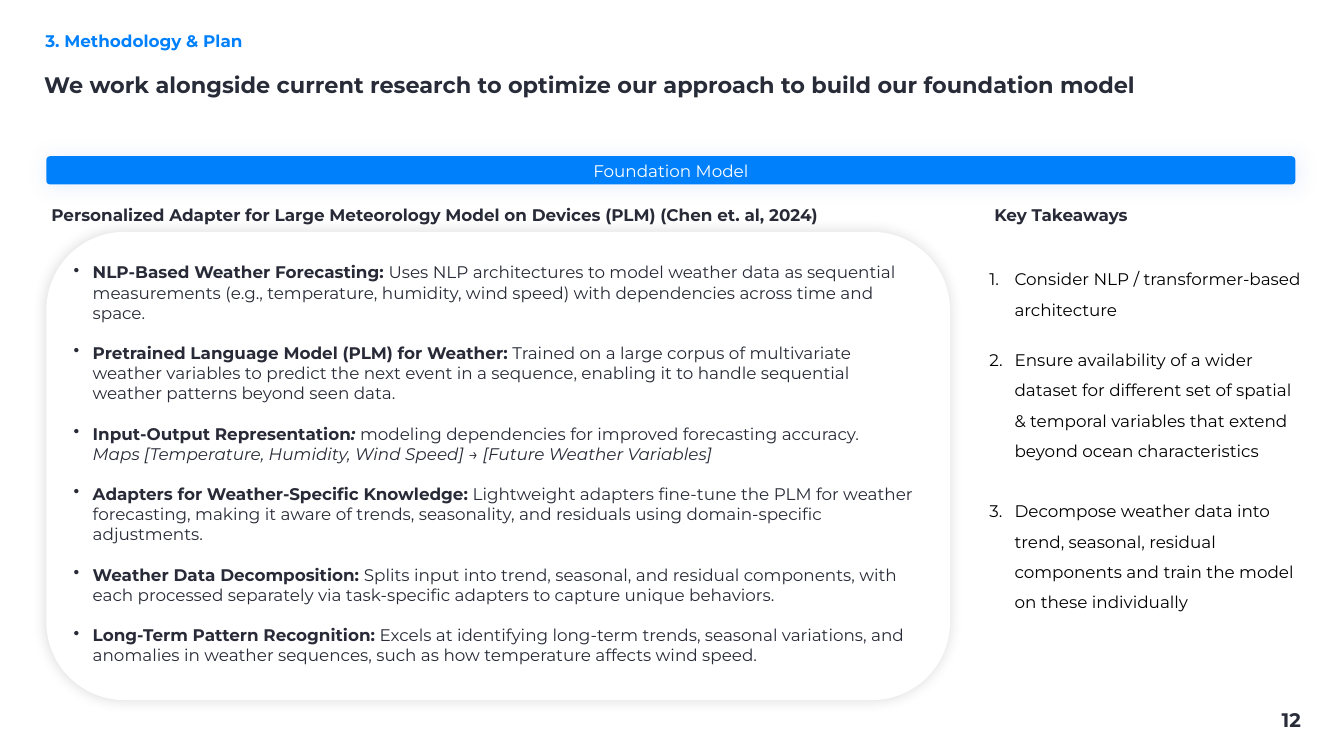
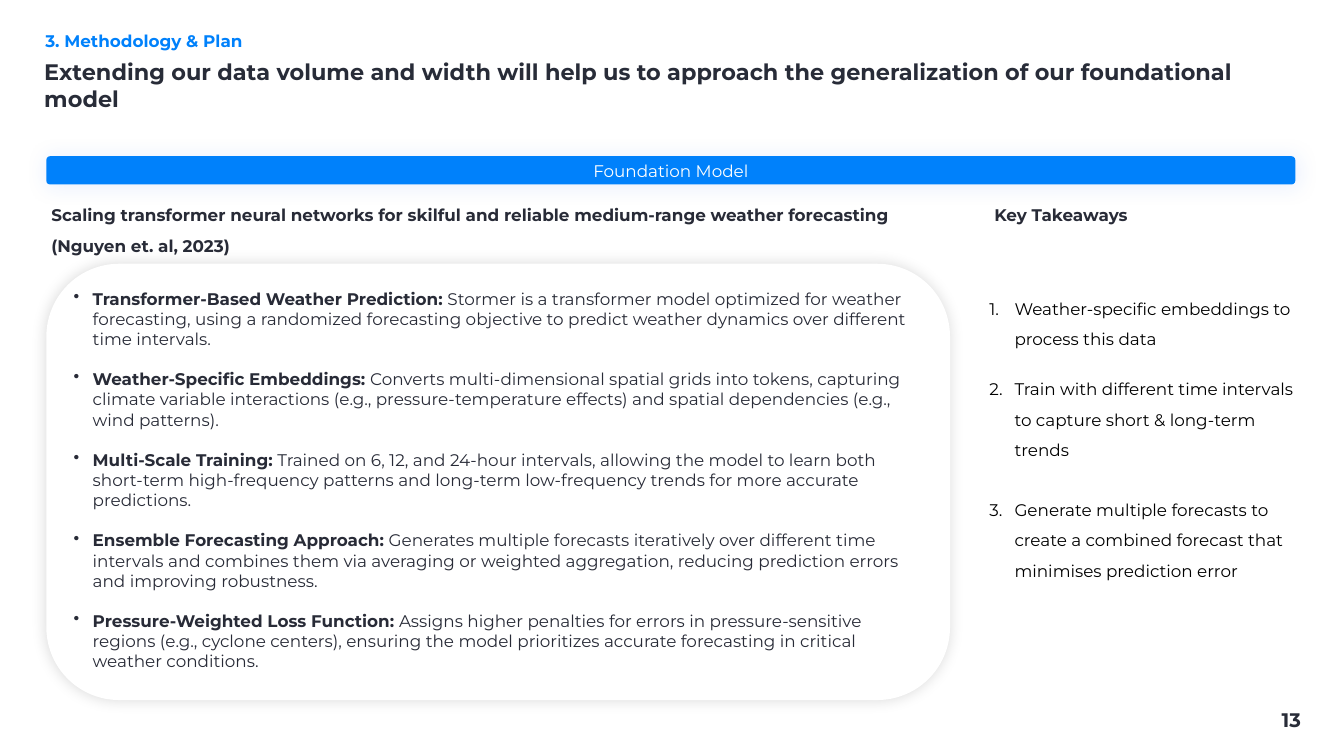
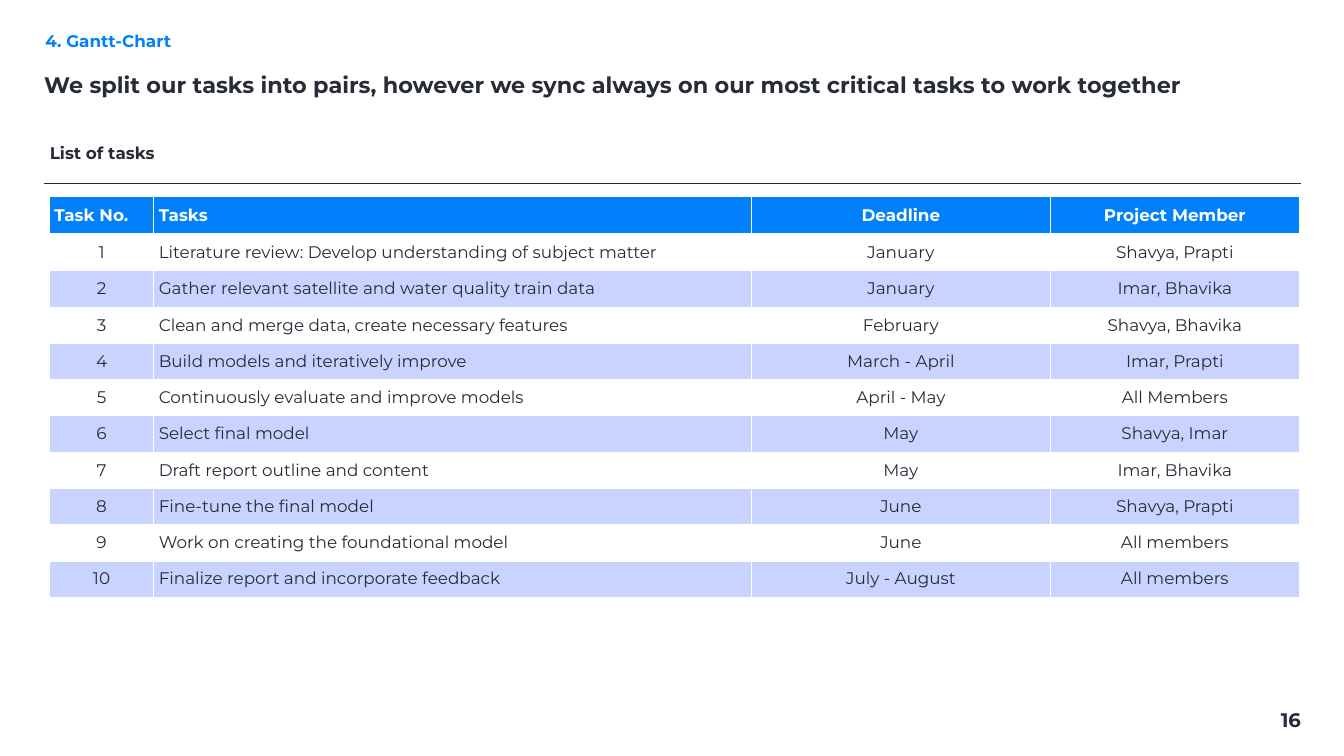
from lxml import etree
from pptx import Presentation
from pptx.dml.color import RGBColor
from pptx.enum.shapes import MSO_CONNECTOR, MSO_SHAPE
from pptx.enum.text import MSO_ANCHOR, PP_ALIGN
from pptx.oxml.ns import qn
from pptx.util import Inches, Pt

LEFT, MID, RIGHT = PP_ALIGN.LEFT, PP_ALIGN.CENTER, PP_ALIGN.RIGHT
TOP, CENTER = MSO_ANCHOR.TOP, MSO_ANCHOR.MIDDLE
ROUND, LINE = MSO_SHAPE.ROUNDED_RECTANGLE, MSO_CONNECTOR.STRAIGHT

BLUE = RGBColor(0x00, 0x81, 0xFB)
GLOW = RGBColor(0x24, 0x63, 0xEC)
PALE = RGBColor(0xC8, 0xD4, 0xFF)
INK = RGBColor(0x28, 0x2B, 0x37)
TITLE = RGBColor(0x28, 0x2C, 0x38)
RULE = RGBColor(0x27, 0x2A, 0x36)
BLACK = RGBColor(0, 0, 0)
WHITE = RGBColor(255, 255, 255)

FONT = "Montserrat"
WIDTH, HEIGHT = Inches(26.67), Inches(15)
COLS, ROWS = 80, 45  # the grid that all places are given in
BODY = 24
GAP = 28.8  # one line of body text, in points
CARD_END = 41.67


def across(n):
    return round(WIDTH * n / COLS)


def down(n):
    return round(HEIGHT * n / ROWS)


def place(box):
    x, y, w, h = box
    return across(x), down(y), across(w), down(h)


def add(parent, tag, **attrs):
    return etree.SubElement(parent, qn(tag), {k: str(v) for k, v in attrs.items()})


def colour(parent, rgb, alpha=100):
    node = add(parent, "a:srgbClr", val=rgb)
    if alpha < 100:
        add(node, "a:alpha", val=alpha * 1000)


def mark(para, tag, hang, **attrs):
    """Give a paragraph a bullet or number with a hanging indent in inches."""
    props = para._p.get_or_add_pPr()
    props.set("marL", str(Inches(hang)))
    props.set("indent", str(-Inches(hang)))
    add(props, tag, **attrs)


def point(head, body):
    return [(head + " ", "b"), (body, "")]


class Deck:
    def __init__(self):
        self.prs = Presentation()
        self.prs.slide_width, self.prs.slide_height = WIDTH, HEIGHT
        self.slide = None

    def start(self, part, title, number):
        """Open a slide with its section name, title and page number."""
        self.slide = self.prs.slides.add_slide(self.prs.slide_layouts[6])
        self.text((71.82, 41.97, 5.91, 1.71), number, 28, TITLE, align=RIGHT)
        para = self.text((2.22, 1.47, 75.21, 1.71), part, BODY, BLUE, anchor=CENTER)
        para.line_spacing = 1.2
        para._p.get_or_add_pPr().set("marL", str(Inches(0.06)))
        self.text((2.34, 3.6, 75.21, 2.88), title, 32, TITLE, anchor=CENTER)

    def style(self, para, size, color, bold=None, align=LEFT):
        para.alignment = align
        font = para.font
        font.name, font.size, font.bold = FONT, Pt(size), bold
        font.color.rgb = color

    def frame(self, box, anchor=TOP, pad=True):
        frame = self.slide.shapes.add_textbox(*place(box)).text_frame
        frame.word_wrap = True
        frame.vertical_anchor = anchor
        if not pad:
            frame.margin_left = frame.margin_right = 0
            frame.margin_top = frame.margin_bottom = 0
        return frame

    def text(self, box, words, size, color, align=LEFT, anchor=TOP):
        """Add one bold paragraph and return it."""
        para = self.frame(box, anchor).paragraphs[0]
        para.text = words
        self.style(para, size, color, True, align)
        return para

    def heading(self, x, w, words, lines=1):
        self.text((x, 11.46, w, 0.12 + 1.8 * lines), words, BODY, INK).line_spacing = 1.5

    def rounded(self, box, fill, glow, alpha, blur):
        shape = self.slide.shapes.add_shape(ROUND, *place(box))
        shape.fill.solid()
        shape.fill.fore_color.rgb = fill
        shape.line.fill.background()
        shape.shadow.inherit = False
        effects = shape._element.spPr.find(qn("a:effectLst"))
        shadow = add(effects, "a:outerShdw", blurRad=Pt(blur), dist=0, dir=0,
                     algn="ctr", rotWithShape=0)
        colour(shadow, glow, alpha)
        return shape

    def band(self, words):
        shape = self.rounded((2.76, 9.3, 74.34, 1.68), BLUE, GLOW, 9, 30)
        shape.adjustments[0] = 0.13
        shape.text_frame.vertical_anchor = CENTER
        para = shape.text_frame.paragraphs[0]
        para.text = words
        self.style(para, BODY, WHITE, align=MID)

    def card(self, top, first, points):
        """Add the card, with its bullets from row first, centred in it."""
        self.rounded((2.76, top, 53.79, CARD_END - top), WHITE, BLACK, 14, 21)
        frame = self.frame((4.38, first, 50.55, CARD_END + top - 2 * first), pad=False)
        for i, runs in enumerate(points):
            para = frame.add_paragraph() if i else frame.paragraphs[0]
            para.space_before = Pt(GAP if i else 0)
            mark(para, "a:buChar", 0.38, char="•")
            self.style(para, BODY, INK)
            for words, look in runs:
                if words == "\n":
                    para.add_line_break()
                    continue
                run = para.add_run()
                run.text = words
                run.font.bold, run.font.italic = "b" in look, "i" in look

    def steps(self, top, height, items):
        frame = self.frame((58.89, top, 18.6, height), pad=False)
        for i, (words, gap) in enumerate(zip(items, (0, GAP, 1.5 * GAP))):
            para = frame.add_paragraph() if i else frame.paragraphs[0]
            para.text = words
            para.line_spacing = 1.5
            para.space_before = Pt(gap)
            mark(para, "a:buAutoNum", 0.5, type="arabicPeriod")
            self.style(para, BODY, BLACK)

    def rule(self, x, y, end):
        line = self.slide.shapes.add_connector(
            LINE, across(x), down(y), across(end), down(y))
        line.line.color.rgb = RULE
        line.line.width = Pt(1.5)
        add(line._element.spPr, "a:effectLst")

    def cell(self, cell, words, fill, color, bold, align, base):
        props = cell._tc.get_or_add_tcPr()
        for side, width in (("L", 1), ("R", 1), ("T", 1), ("B", base)):
            edge = add(props, "a:ln" + side, w=Pt(width))
            colour(add(edge, "a:solidFill"), WHITE)
        cell.fill.solid()
        cell.fill.fore_color.rgb = fill
        cell.vertical_anchor = CENTER
        para = cell.text_frame.paragraphs[0]
        para.text = words
        self.style(para, BODY, color, bold, align)

    def table(self, x, y, widths, head, rows):
        tall, row = 2.28, 2.16
        box = (x, y, sum(widths), tall + row * len(rows))
        table = self.slide.shapes.add_table(
            len(rows) + 1, len(head), *place(box)).table
        table.horz_banding = False
        for col, width in zip(table.columns, widths):
            col.width = across(width)
        for r, line in enumerate([head, *rows]):
            table.rows[r].height = down(row if r else tall)
            for c, words in enumerate(line):
                if r:
                    look = PALE if r % 2 == 0 else WHITE, INK, False
                    align, base = LEFT if c == 1 else MID, 1
                else:
                    look = BLUE, WHITE, True
                    align, base = LEFT if c < 2 else MID, 3
                self.cell(table.cell(r, c), words, *look, align, base)


def study(deck, title, number, source, lines, card, points, steps, items):
    """Build a slide on one paper: its points in a card, takeaways beside it."""
    deck.start("3. Methodology & Plan", title, number)
    deck.band("Foundation Model")
    deck.card(*card, points)
    deck.heading(2.76, 51.54, source, lines)
    deck.heading(58.89, 18.18, "Key Takeaways")
    deck.steps(*steps, items)


def main():
    deck = Deck()
    study(
        deck,
        "We work alongside current research to optimize our approach to build our foundation model",
        "12",
        "Personalized Adapter for Large Meteorology Model on Devices (PLM) (Chen et. al, 2024)",
        1, (13.8, 15.6),
        [
            point("NLP-Based Weather Forecasting:",
                  "Uses NLP architectures to model weather data as sequential measurements "
                  "(e.g., temperature, humidity, wind speed) with dependencies across time and space."),
            point("Pretrained Language Model (PLM) for Weather:",
                  "Trained on a large corpus of multivariate weather variables to predict the next "
                  "event in a sequence, enabling it to handle sequential weather patterns beyond "
                  "seen data."),
            [("Input-Output Representation", "b"), (": ", "bi"),
             ("modeling dependencies for improved forecasting accuracy.", ""), ("\n", ""),
             ("Maps [Temperature, Humidity, Wind Speed] → [Future Weather Variables]", "i")],
            point("Adapters for Weather-Specific Knowledge:",
                  "Lightweight adapters fine-tune the PLM for weather forecasting, making it aware "
                  "of trends, seasonality, and residuals using domain-specific adjustments."),
            point("Weather Data Decomposition:",
                  "Splits input into trend, seasonal, and residual components, with each processed "
                  "separately via task-specific adapters to capture unique behaviors."),
            point("Long-Term Pattern Recognition:",
                  "Excels at identifying long-term trends, seasonal variations, and anomalies in "
                  "weather sequences, such as how temperature affects wind speed."),
        ],
        (15.42, 21.8),
        [
            "Consider NLP / transformer-based architecture",
            "Ensure availability of a wider dataset for different set of spatial & temporal "
            "variables that extend beyond ocean characteristics",
            "Decompose weather data into trend, seasonal, residual components and train the "
            "model on these individually",
        ],
    )
    study(
        deck,
        "Extending our data volume and width will help us to approach the generalization of "
        "our foundational model",
        "13",
        "Scaling transformer neural networks for skilful and reliable medium-range weather "
        "forecasting (Nguyen et. al, 2023)",
        2, (15.7, 17.16),
        [
            point("Transformer-Based Weather Prediction:",
                  "Stormer is a transformer model optimized for weather forecasting, using a "
                  "randomized forecasting objective to predict weather dynamics over different "
                  "time intervals."),
            point("Weather-Specific Embeddings:",
                  "Converts multi-dimensional spatial grids into tokens, capturing climate variable "
                  "interactions (e.g., pressure-temperature effects) and spatial dependencies "
                  "(e.g., wind patterns)."),
            point("Multi-Scale Training:",
                  "Trained on 6, 12, and 24-hour intervals, allowing the model to learn both "
                  "short-term high-frequency patterns and long-term low-frequency trends for more "
                  "accurate predictions."),
            point("Ensemble Forecasting Approach:",
                  "Generates multiple forecasts iteratively over different time intervals and "
                  "combines them via averaging or weighted aggregation, reducing prediction errors "
                  "and improving robustness."),
            point("Pressure-Weighted Loss Function:",
                  "Assigns higher penalties for errors in pressure-sensitive regions (e.g., cyclone "
                  "centers), ensuring the model prioritizes accurate forecasting in critical "
                  "weather conditions."),
        ],
        (17.16, 18.18),
        [
            "Weather-specific embeddings to process this data",
            "Train with different time intervals to capture short & long-term trends",
            "Generate multiple forecasts to create a combined forecast that minimises "
            "prediction error",
        ],
    )

    deck.start(
        "4. Gantt-Chart",
        "We split our tasks into pairs, however we sync always on our most critical tasks to "
        "work together",
        "16")
    deck.text((2.67, 7.65, 75, 2.88), "List of tasks", BODY, INK, anchor=CENTER)
    tasks = [
        ("Literature review: Develop understanding of subject matter", "January", "Shavya, Prapti"),
        ("Gather relevant satellite and water quality train data", "January", "Imar, Bhavika"),
        ("Clean and merge data, create necessary features", "February", "Shavya, Bhavika"),
        ("Build models and iteratively improve", "March - April", "Imar, Prapti"),
        ("Continuously evaluate and improve models", "April - May", "All Members"),
        ("Select final model", "May", "Shavya, Imar"),
        ("Draft report outline and content", "May", "Imar, Bhavika"),
        ("Fine-tune the final model", "June", "Shavya, Prapti"),
        ("Work on creating the foundational model", "June", "All members"),
        ("Finalize report and incorporate feedback", "July - August", "All members"),
    ]
    deck.table(2.94, 11.67, (6.21, 35.58, 17.79, 14.82),
               ("Task No.", "Tasks", "Deadline", "Project Member"),
               [(str(n), *task) for n, task in enumerate(tasks, 1)])
    deck.rule(2.61, 10.92, 77.43)
    deck.prs.save("out.pptx")


if __name__ == "__main__":
    main()
